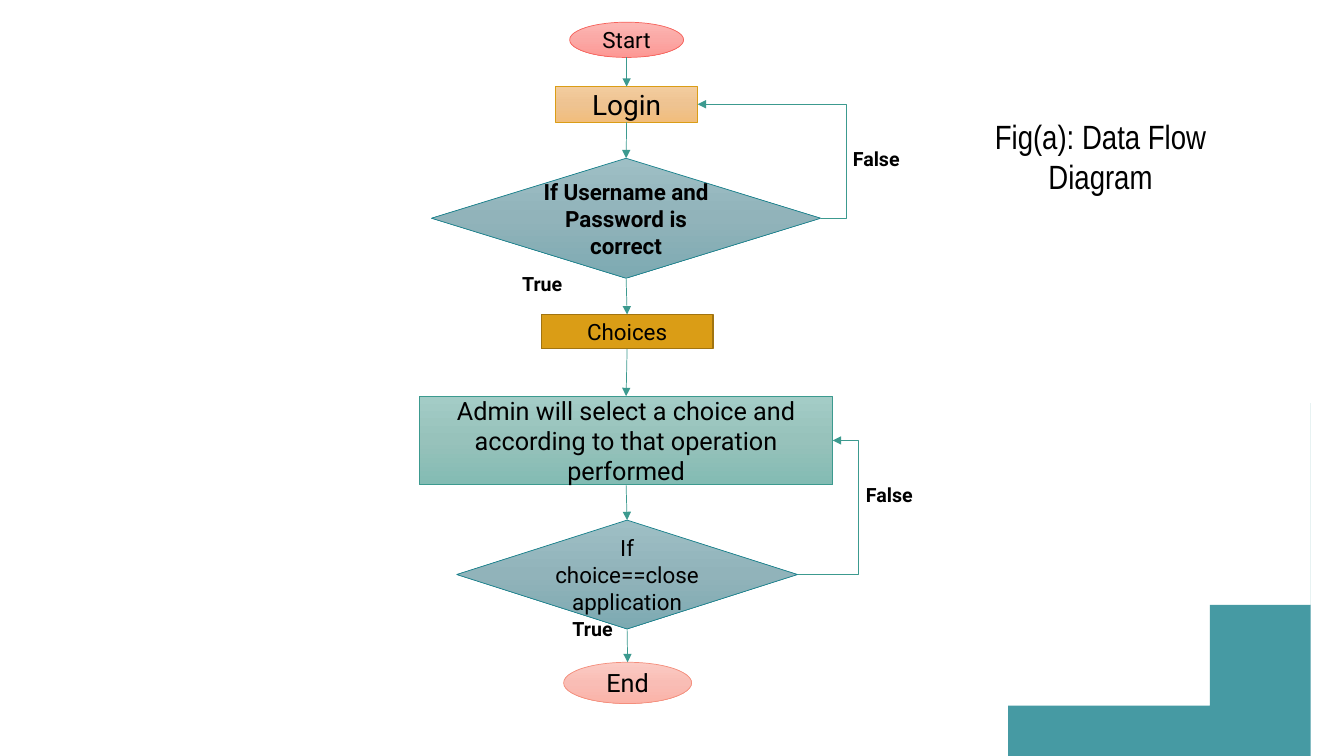
from copy import deepcopy
from itertools import pairwise

from pptx import Presentation
from pptx.dml.color import RGBColor
from pptx.enum.shapes import MSO_CONNECTOR, MSO_SHAPE
from pptx.enum.text import MSO_ANCHOR, MSO_AUTO_SIZE, PP_ALIGN
from pptx.oxml import parse_xml
from pptx.oxml.ns import nsdecls
from pptx.util import Inches, Pt

BLACK = RGBColor(0x00, 0x00, 0x00)
TEAL = RGBColor(0x18, 0x81, 0x8C)
GREEN = RGBColor(0x3C, 0x9A, 0x8F)
RED = RGBColor(0xF6, 0x63, 0x5C)
GOLD = RGBColor(0xDA, 0x9D, 0x16)
BROWN = RGBColor(0xA1, 0x74, 0x10)
CORAL = RGBColor(0xF4, 0x8E, 0x7C)
RED_FADE = [RGBColor(0xFC, 0xB7, 0xB4), RGBColor(0xFB, 0xA8, 0xA5), RGBColor(0xFD, 0x98, 0x94)]
GOLD_FADE = [RGBColor(0xF3, 0xCC, 0x9E), RGBColor(0xEE, 0xC3, 0x91), RGBColor(0xF1, 0xBD, 0x7C)]
TEAL_FADE = [RGBColor(0x9E, 0xBF, 0xC5), RGBColor(0x91, 0xB3, 0xBA), RGBColor(0x7D, 0xAA, 0xB2)]
GREEN_FADE = [RGBColor(0xA3, 0xCC, 0xC6), RGBColor(0x97, 0xC2, 0xBB), RGBColor(0x83, 0xBB, 0xB3)]
CORAL_FADE = [RGBColor(0xFB, 0xCB, 0xC4), RGBColor(0xF9, 0xBD, 0xB5), RGBColor(0xFB, 0xB3, 0xA8)]

TERMINAL = MSO_SHAPE.FLOWCHART_CONNECTOR
PROCESS = MSO_SHAPE.FLOWCHART_PROCESS
DECISION = MSO_SHAPE.FLOWCHART_DECISION

CAPTION = ("Fig(a): Data Flow Diagram", (9.26, 1.1, 3.31, 0.91))
STEPS = [
    ("Start", TERMINAL, (5.65, 0.22, 1.13, 0.35), RED_FADE, RED, 0.5, 16, False),
    ("Login", PROCESS, (5.51, 0.86, 1.41, 0.35), GOLD_FADE, GOLD, 0.5, 20, False),
    ("If Username and Password is correct", DECISION, (4.28, 1.57, 3.86, 1.19),
     TEAL_FADE, TEAL, 0.5, 16, True),
    ("Choices", PROCESS, (5.37, 3.12, 1.7, 0.34), [GOLD], BROWN, 1, 16, False),
    ("Admin will select a choice and according to that operation performed", PROCESS,
     (4.16, 3.93, 4.1, 0.88), GREEN_FADE, GREEN, 0.5, 18, False),
    ("If choice==close application", DECISION, (4.53, 5.16, 3.38, 1.08),
     TEAL_FADE, TEAL, 0.5, 16, False),
    ("End", TERMINAL, (5.59, 6.57, 1.27, 0.41), CORAL_FADE, CORAL, 0.5, 18, False),
]
RETURNS = [(2, 1), (5, 4)]
DETOUR = 0.25
BRANCH_LABELS = [
    ("True", (5.08, 2.65, 1.14, 0.34)),
    ("False", (8.36, 1.41, 1.22, 0.34)),
    ("True", (5.58, 6.07, 0.97, 0.34)),
    ("False", (8.49, 4.74, 1.22, 0.34)),
]
CORNER = (13.34, 7.5)
CURVE = [(9.67, 7.5), (11.58, 7.5), (13.15, 6.02), (13.34, 4.08)]
CURVE_STEPS = 48


def curve_point(t):
    """Return the point at t on the corner's cubic curve."""
    weights = ((1 - t) ** 3, 3 * t * (1 - t) ** 2, 3 * t * t * (1 - t), t ** 3)
    return tuple(sum(w * p[axis] for w, p in zip(weights, CURVE)) for axis in (0, 1))


def write(frame, text, size, font="Roboto", bold=False, align=PP_ALIGN.CENTER):
    """Fill a text frame with one formatted paragraph."""
    frame.text = text
    frame.word_wrap = True
    paragraph = frame.paragraphs[0]
    paragraph.alignment = align
    style = paragraph.runs[0].font
    style.name, style.size, style.bold = font, Pt(size), bold
    style.color.rgb = BLACK


def paint(shape, colors):
    """Fill a shape with one colour or an even top-to-bottom gradient."""
    if len(colors) == 1:
        shape.fill.solid()
        shape.fill.fore_color.rgb = colors[0]
        return
    shape.fill.gradient()
    shape.fill.gradient_angle = 270
    stop_list = shape._element.spPr.xpath(".//a:gsLst")[0]
    stop_list.insert(1, deepcopy(stop_list[0]))
    for index, (stop, color) in enumerate(zip(shape.fill.gradient_stops, colors)):
        stop.position = index / (len(colors) - 1)
        stop.color.rgb = color


def add_arrow(slide, kind, start, end):
    """Draw a thin green arrow and return it."""
    arrow = slide.shapes.add_connector(kind, *map(Inches, start + end))
    arrow.line.color.rgb = GREEN
    arrow.line.width = Pt(0.5)
    arrow.line._get_or_add_ln().append(
        parse_xml(f'<a:tailEnd {nsdecls("a")} type="triangle"/>'))
    arrow._element.spPr.append(parse_xml(f'<a:effectLst {nsdecls("a")}/>'))
    return arrow


def add_return(slide, decision_box, target_box):
    """Draw the elbow arrow from a decision back to an earlier step."""
    start, end = [(x + w, y + h / 2) for x, y, w, h in (decision_box, target_box)]
    arrow = add_arrow(slide, MSO_CONNECTOR.ELBOW, start, end)
    bend = (max(start[0], end[0]) + DETOUR - start[0]) / (end[0] - start[0])
    geometry = arrow._element.spPr.xpath("./a:prstGeom")[0]
    for adjustments in geometry.xpath("./a:avLst"):
        geometry.remove(adjustments)
    geometry.append(parse_xml(
        f'<a:avLst {nsdecls("a")}><a:gd name="adj1" fmla="val {round(bend * 100000)}"/></a:avLst>'))


def add_corner(slide):
    """Draw the translucent curved corner."""
    builder = slide.shapes.build_freeform(*CORNER, scale=Inches(1))
    builder.add_line_segments([curve_point(i / CURVE_STEPS) for i in range(CURVE_STEPS + 1)])
    corner = builder.convert_to_shape()
    corner.shadow.inherit = False
    corner.line.fill.background()
    paint(corner, [TEAL])
    color = corner._element.spPr.xpath("./a:solidFill/a:srgbClr")[0]
    color.append(parse_xml(f'<a:alpha {nsdecls("a")} val="80000"/>'))


def add_step(slide, text, kind, box, colors, outline, weight, size, bold):
    """Draw one flowchart step."""
    step = slide.shapes.add_shape(kind, *map(Inches, box))
    step.shadow.inherit = False
    paint(step, colors)
    step.line.color.rgb = outline
    step.line.width = Pt(weight)
    write(step.text_frame, text, size, bold=bold)
    step.text_frame.vertical_anchor = MSO_ANCHOR.MIDDLE


def main():
    """Build the data flow slide and save it."""
    deck = Presentation()
    deck.slide_width, deck.slide_height = Inches(13.33), Inches(7.5)
    slide = deck.slides.add_slide(deck.slide_layouts[5])
    add_corner(slide)

    caption = slide.shapes.title
    text, box = CAPTION
    caption.left, caption.top, caption.width, caption.height = map(Inches, box)
    write(caption.text_frame, text, 24, font="Arial Narrow")
    caption.text_frame.vertical_anchor = MSO_ANCHOR.TOP
    caption.text_frame.auto_size = MSO_AUTO_SIZE.NONE

    for step in STEPS:
        add_step(slide, *step)
    boxes = [step[2] for step in STEPS]
    for (x, y, w, h), (next_x, next_y, next_w, _) in pairwise(boxes):
        add_arrow(slide, MSO_CONNECTOR.STRAIGHT, (x + w / 2, y + h), (next_x + next_w / 2, next_y))
    for decision, target in RETURNS:
        add_return(slide, boxes[decision], boxes[target])

    for text, box in BRANCH_LABELS:
        label = slide.shapes.add_textbox(*map(Inches, box))
        write(label.text_frame, text, 14, bold=True, align=PP_ALIGN.LEFT)

    deck.save("out.pptx")


if __name__ == "__main__":
    main()
